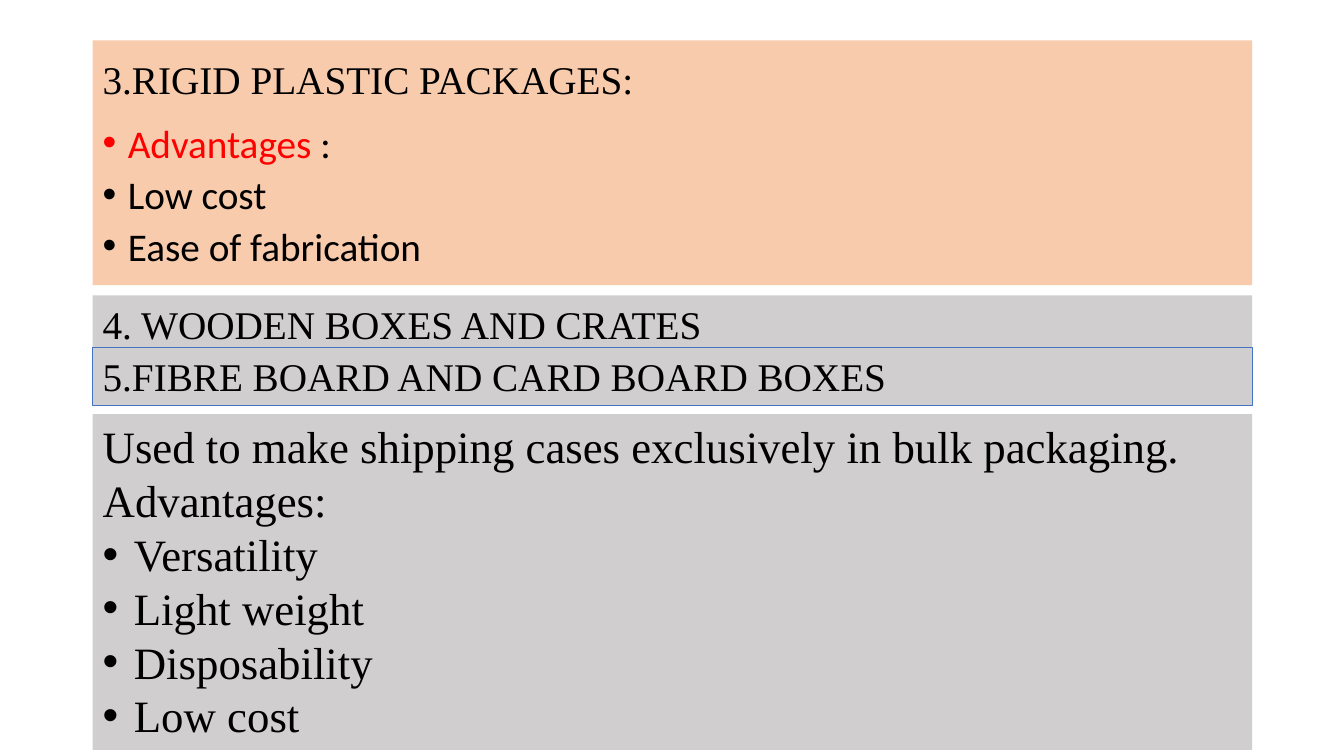
"""Build a slide on rigid plastic, wooden and fibre board packages."""
from pptx import Presentation
from pptx.dml.color import RGBColor
from pptx.enum.text import MSO_ANCHOR as Anchor, MSO_AUTO_SIZE as AutoSize
from pptx.oxml.ns import qn
from pptx.util import Inches, Pt
from lxml.etree import SubElement

SERIF, SANS = "Times New Roman", "Calibri"
PEACH, GREY, BLACK, RED = "F8CBAD", "D0CECE", "000000", "FF0000"
LEFT, WIDTH = 0.92, 11.5


def rgb(value):
    return RGBColor.from_string(value)


def add_text(panel, runs, *, size=28, font=SERIF, spacing=None, before=0, indent=0):
    frame = panel.text_frame
    line = frame.paragraphs[0] if not frame.text else frame.add_paragraph()
    line.line_spacing = spacing
    line.space_before = Pt(before)
    if indent:
        props = line._p.get_or_add_pPr()
        props.set("marL", str(Inches(indent)))
        props.set("indent", str(-Inches(indent)))
        SubElement(props, qn("a:buFont"), typeface="Arial")
        SubElement(props, qn("a:buChar"), char="•")
    for words, color in runs:
        run = line.add_run()
        run.text = words
        run.font.size = Pt(size)
        run.font.name = font
        run.font.color.rgb = rgb(color)


deck = Presentation()
deck.slide_width, deck.slide_height = Inches(13.33), Inches(7.5)
slide = deck.slides.add_slide(deck.slide_layouts[6])

panels = []
for top, height, fill in [
    (0.4, 0.82, PEACH),
    (1.22, 1.61, PEACH),
    (2.93, 0.57, GREY),
    (3.45, 0.57, GREY),
    (4.11, 3.33, GREY),
]:
    panel = slide.shapes.add_textbox(Inches(LEFT), Inches(top), Inches(WIDTH), Inches(height))
    panel.fill.solid()
    panel.fill.fore_color.rgb = rgb(fill)
    panel.text_frame.word_wrap = True
    panel.text_frame.auto_size = AutoSize.SHAPE_TO_FIT_TEXT if fill == GREY else AutoSize.NONE
    panels.append(panel)
rigid_title, rigid_advantages, wooden_title, fibre_title, fibre_details = panels

rigid_title.text_frame.vertical_anchor = Anchor.MIDDLE
add_text(rigid_title, [("3.RIGID PLASTIC PACKAGES:", BLACK)], spacing=0.9)

for runs in (
    [("Advantages ", RED), (":", BLACK)],
    [("Low cost", BLACK)],
    [("Ease of fabrication", BLACK)],
):
    add_text(rigid_advantages, runs, font=SANS, spacing=0.8, before=10, indent=0.25)

add_text(wooden_title, [("4. WOODEN BOXES AND CRATES", BLACK)])

fibre_title.line.color.rgb = rgb("4472C4")
fibre_title.line.width = Pt(0.75)
add_text(fibre_title, [("5.FIBRE BOARD AND CARD BOARD BOXES", BLACK)])

for words in ("Used to make shipping cases exclusively in bulk packaging.", "Advantages:"):
    add_text(fibre_details, [(words, BLACK)], size=32)
for words in ("Versatility", "Light weight", "Disposability", "Low cost"):
    add_text(fibre_details, [(words, BLACK)], size=32, indent=0.31)

deck.save("out.pptx")
